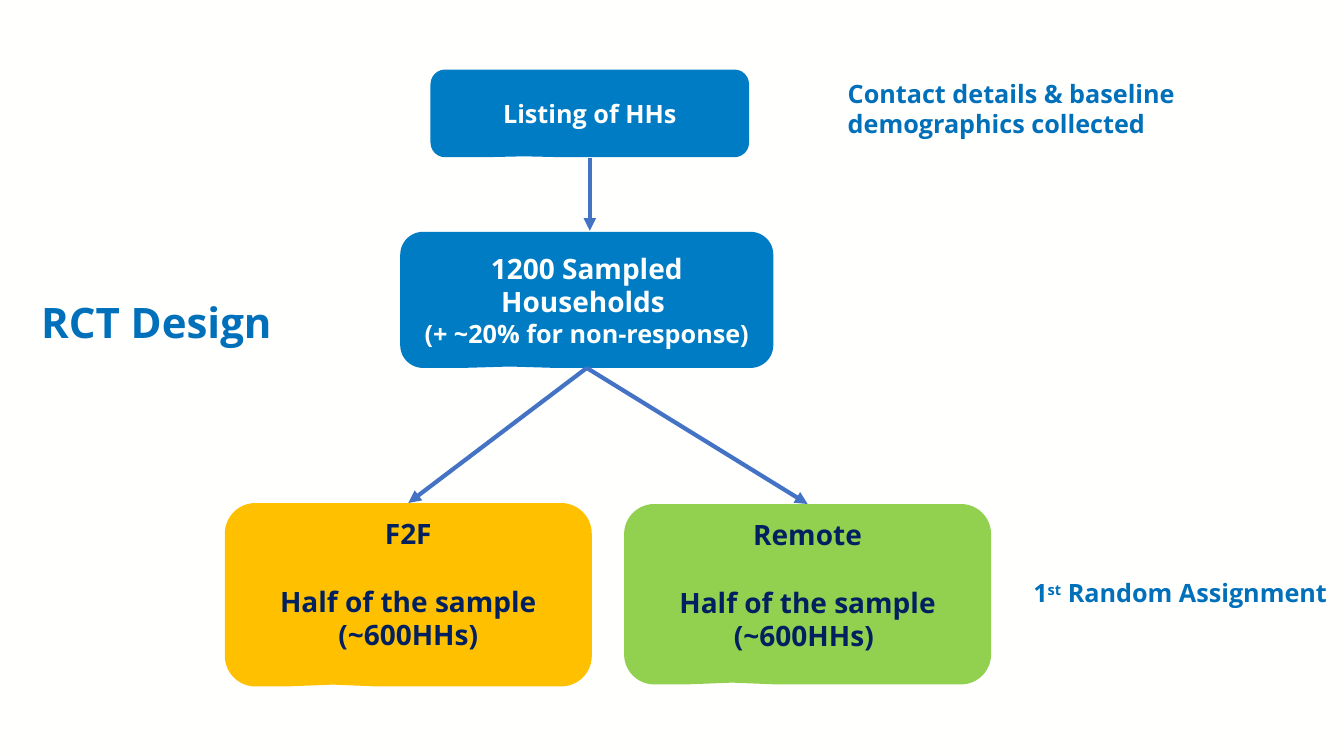
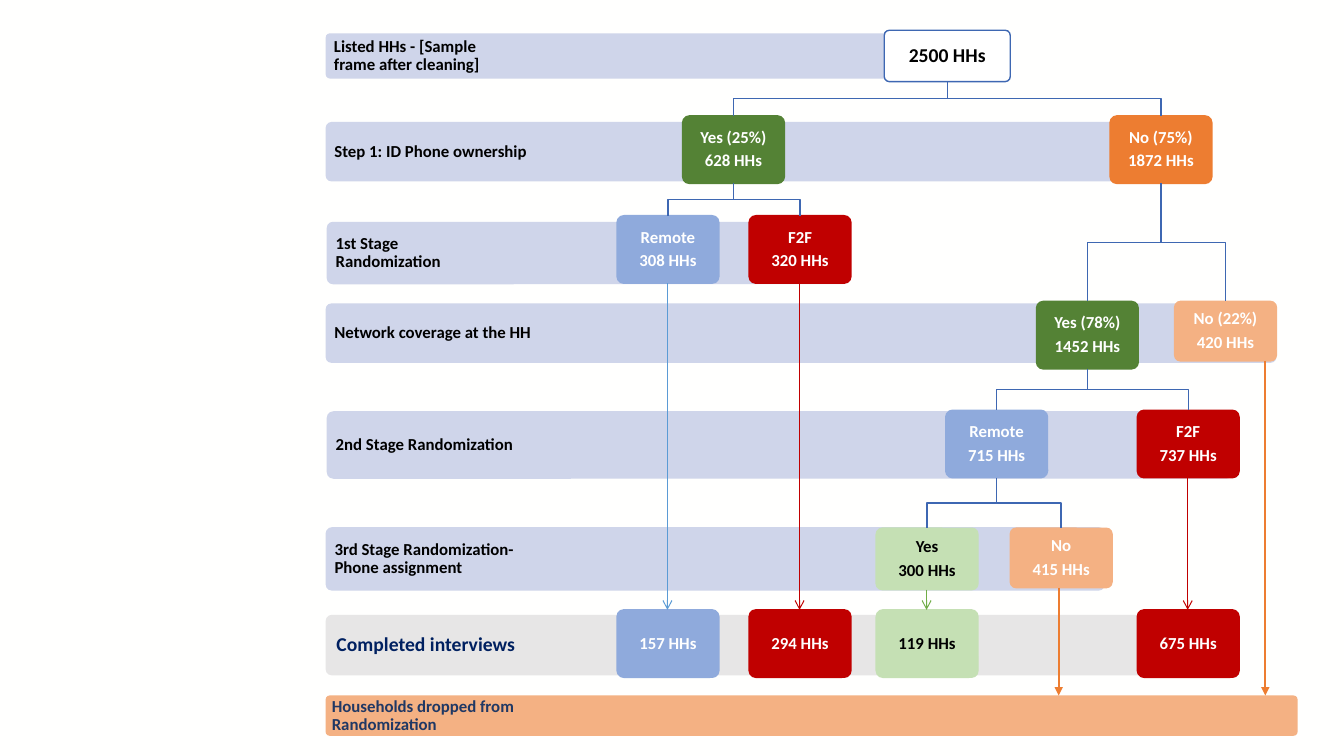
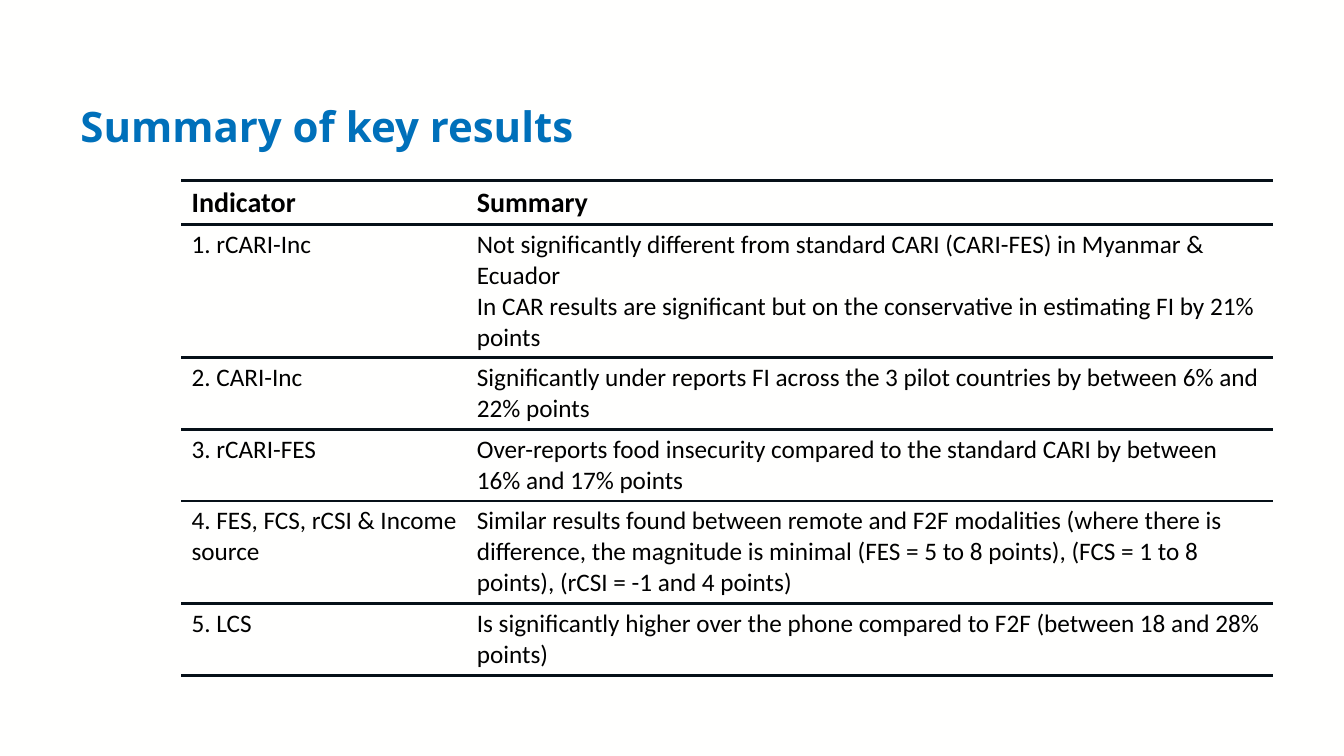
from pptx import Presentation
from pptx.dml.color import RGBColor
from pptx.enum.shapes import MSO_CONNECTOR, MSO_SHAPE
from pptx.enum.text import MSO_ANCHOR, PP_ALIGN
from pptx.oxml import parse_xml
from pptx.oxml.ns import nsdecls
from pptx.util import Pt

PX = 9144  # 100 px to the inch
HEAD, BODY = "Open Sans", "Calibri"
LEFT, MID = PP_ALIGN.LEFT, PP_ALIGN.CENTER
TOP, CENTER = MSO_ANCHOR.TOP, MSO_ANCHOR.MIDDLE
ROUND, CALL = MSO_SHAPE.ROUNDED_RECTANGLE, MSO_SHAPE.ROUNDED_RECTANGULAR_CALLOUT
LINE = MSO_CONNECTOR.STRAIGHT

HUES = {
    "page": "FFFFFE", "white": "FFFFFF", "black": "000000",
    "title": "0070BA", "navy": "002060", "ink": "203864",
    "blue": "007CC5", "gold": "FFC000", "lime": "92D050", "arrow": "4472C4",
    "band": "CFD5EA", "grey": "E7E6E6", "peach": "F4B183",
    "green": "548235", "mint": "C5E0B4", "leaf": "70AD47",
    "sky": "8FAADC", "azure": "5B9BD5", "red": "C00000",
    "orange": "ED7D31", "fork": "3E67B2", "rule": "061018",
}


def rgb(hue):
    return RGBColor.from_string(HUES[hue])


def area(x, y, w, h):
    return [n * PX for n in (x, y, w, h)]


def new_slide(deck):
    slide = deck.slides.add_slide(deck.slide_layouts[6])
    slide.background.fill.solid()
    slide.background.fill.fore_color.rgb = rgb("page")
    return slide


# Text
def style(para, size, hue, face, bold=True):
    font = para.font
    font.size, font.name, font.bold = Pt(size), face, bold
    font.color.rgb = rgb(hue)


def write(shape, text, size, hue, face=HEAD, align=LEFT, anchor=TOP):
    frame = shape.text_frame
    frame.word_wrap = True
    frame.vertical_anchor = anchor
    frame.text = text
    for para in frame.paragraphs:
        para.alignment = align
        style(para, size, hue, face)
    return frame


def pad(frame, left, right, rest):
    frame.margin_left, frame.margin_right = left * PX, right * PX
    frame.margin_top = frame.margin_bottom = rest * PX


def tight(frame):
    for para in frame.paragraphs:
        para.line_spacing = 0.9
        para.space_after = Pt(4)


def note(slide, spot, text, size=18, anchor=TOP):
    box = slide.shapes.add_textbox(*area(*spot))
    return write(box, text, size, "title", anchor=anchor)


def title(slide, spot, text):
    frame = note(slide, spot, text, 30, CENTER)
    frame.paragraphs[0].line_spacing = 0.9


# Shapes
def block(slide, kind, spot, fill, edge=None):
    shape = slide.shapes.add_shape(kind, *area(*spot))
    shape.shadow.inherit = False
    shape.fill.solid()
    shape.fill.fore_color.rgb = rgb(fill)
    if edge:
        shape.line.color.rgb = rgb(edge)
        shape.line.width = Pt(1)
    else:
        shape.line.fill.background()
    return shape


def callout(slide, spot, fill, text, size, hue, anchor=CENTER):
    shape = block(slide, CALL, spot, fill)
    for i, value in enumerate((-0.206, 0.49, 0.167)):
        shape.adjustments[i] = value
    return write(shape, text, size, hue, align=MID, anchor=anchor)


def band(slide, spot, text, fill="band", hue="black", size=12, inset=7):
    shape = block(slide, ROUND, spot, fill)
    shape.adjustments[0] = 0.1
    frame = write(shape, text, size, hue, BODY, anchor=CENTER)
    # The label keeps to the first 30% of the band
    pad(frame, inset, inset + round(spot[2] * 0.7), 4)
    tight(frame)


def node(slide, x, y, fill, text, h=67, hue="white", w=101, size=12, edge=None):
    shape = block(slide, ROUND, (x, y, w, h), fill, edge or fill)
    shape.adjustments[0] = 0.1
    frame = write(shape, text, size, hue, BODY, MID, CENTER)
    pad(frame, 6, 6, 5)
    tight(frame)
    return shape


# Lines
def arrow(slide, start, end, hue, width, head="triangle"):
    line = slide.shapes.add_connector(LINE, *area(*start, *end))
    line.line.color.rgb = rgb(hue)
    line.line.width = Pt(width)
    tip = parse_xml(f'<a:tailEnd {nsdecls("a")} type="{head}"/>')
    line.line._get_or_add_ln().append(tip)
    line._element.spPr.append(parse_xml(f'<a:effectLst {nsdecls("a")}/>'))


def ends(upper, lower):
    x = upper.left + upper.width // 2
    return x, upper.top + upper.height, lower.left + lower.width // 2, lower.top


def fork(slide, parent, *kids):
    for kid in kids:
        x, y, kx, ky = ends(parent, kid)
        half = (y + ky) // 2
        path = slide.shapes.build_freeform(x, y)
        path.add_line_segments([(x, half), (kx, half), (kx, ky)], close=False)
        bend = path.convert_to_shape()
        bend.shadow.inherit = False
        bend.fill.background()
        bend.line.color.rgb = rgb("fork")
        bend.line.width = Pt(1)


def drop(slide, upper, lower, hue):
    x, y, _, end = (n // PX for n in ends(upper, lower))
    arrow(slide, (x, y), (x, end), hue, 0.75, "arrow")


# Table
def rule(cell):
    props = cell._tc.get_or_add_tcPr()
    for side in "LR":
        props.append(parse_xml(
            f'<a:ln{side} {nsdecls("a")} w="0"><a:noFill/></a:ln{side}>'))
    for side in "TB":
        props.append(parse_xml(
            f'<a:ln{side} {nsdecls("a")} w="{Pt(2.25)}"><a:solidFill>'
            f'<a:srgbClr val="{HUES["rule"]}"/></a:solidFill></a:ln{side}>'))
    cell.fill.background()


def grid(slide, x, y, cols, highs, rows):
    spot = area(x, y, sum(cols), sum(highs))
    table = slide.shapes.add_table(len(rows), len(cols), *spot).table
    table.first_row = table.horz_banding = False
    for col, w in zip(table.columns, cols):
        col.width = w * PX
    for i, (row, h) in enumerate(zip(rows, highs)):
        table.rows[i].height = h * PX
        for j, text in enumerate(row):
            cell = table.cell(i, j)
            rule(cell)
            cell.text = text
            for para in cell.text_frame.paragraphs:
                style(para, 18 if i else 20, "black", BODY, i == 0)


# Slides
def design(deck):
    slide = new_slide(deck)
    title(slide, (31, 253, 1204, 139), "RCT Design")

    frame = note(slide, (1015, 568, 317, 40), "1")
    frame.word_wrap = False
    para = frame.paragraphs[0]
    for text in ("st", " Random Assignment"):
        run = para.add_run()
        run.text = text
        if text == "st":
            run._r.get_or_add_rPr().set("baseline", "30000")

    half = "\nHalf of the sample\n(~600HHs)"
    for spot, fill, text in (
        ((223, 499, 364, 182), "gold", "F2F" + half),
        ((619, 500, 364, 179), "lime", "Remote" + half + " "),
    ):
        frame = callout(slide, spot, fill, text, 20, "navy", TOP)
        frame.paragraphs[1].space_before = Pt(24)

    callout(slide, (427, 69, 316, 87), "blue", "Listing of HHs", 18, "page")
    note(slide, (831, 73, 453, 71),
         "Contact details & baseline demographics collected")
    frame = callout(slide, (397, 230, 370, 135), "blue",
                    "1200 Sampled Households \n(+ ~20% for non-response)",
                    20, "page")
    frame.paragraphs[1].font.size = Pt(18)

    for start, end in (((585, 157), (585, 229)), ((582, 365), (405, 499)),
                       ((582, 365), (801, 500))):
        arrow(slide, start, end, "arrow", 3)


def flow(deck):
    slide = new_slide(deck)

    # Bands
    band(slide, (323, 690, 964, 40), "Households dropped from Randomization",
         "peach", "ink", inset=5)
    band(slide, (323, 610, 899, 60), "Completed interviews",
         "grey", "navy", 14, 9)
    for spot, text in (
        ((323, 523, 773, 63), "3rd Stage Randomization-Phone assignment"),
        ((324, 408, 899, 67), "2nd Stage Randomization"),
        ((323, 301, 943, 59), "Network coverage at the HH"),
        ((324, 220, 518, 62), "1st Stage Randomization"),
        ((323, 121, 874, 59), "Step 1: ID Phone ownership"),
        ((323, 33, 660, 45), "Listed HHs - [Sample frame after cleaning]"),
    ):
        band(slide, spot, text)

    # Households at each step
    root = node(slide, 877, 30, "white", "2500 HHs", 51, "black", 125, 14, "fork")
    phone = node(slide, 677, 115, "green", "Yes (25%)\n628 HHs")
    none = node(slide, 1101, 115, "orange", "No (75%)\n1872 HHs")
    call = node(slide, 612, 214, "sky", "Remote\n308 HHs")
    visit = node(slide, 743, 214, "red", "F2F\n320 HHs")
    signal = node(slide, 1028, 299, "green", "Yes (78%)\n1452 HHs")
    dead = node(slide, 1165, 299, "peach", "No (22%)\n420 HHs", 59)
    call_two = node(slide, 938, 407, "sky", "Remote\n715 HHs")
    visit_two = node(slide, 1128, 407, "red", "F2F\n737 HHs")
    given = node(slide, 869, 524, "mint", "Yes\n300 HHs", 61, "black")
    left_out = node(slide, 1002, 524, "peach", "No\n415 HHs", 59)

    fork(slide, root, phone, none)
    fork(slide, phone, call, visit)
    fork(slide, none, signal, dead)
    fork(slide, signal, call_two, visit_two)
    fork(slide, call_two, given, left_out)

    # Completed interviews
    for start, x, fill, count, hue, line in (
        (call, 612, "sky", 157, "white", "azure"),
        (visit, 743, "red", 294, "white", "red"),
        (given, 869, "mint", 119, "black", "leaf"),
        (visit_two, 1128, "red", 675, "white", "red"),
    ):
        done = node(slide, x, 605, fill, f"{count} HHs", hue=hue)
        drop(slide, start, done, line)

    # Dropped households
    for x, y in ((1050, 583), (1255, 358)):
        arrow(slide, (x, y), (x, 690), "orange", 1.5)


def results(deck):
    slide = new_slide(deck)
    title(slide, (70, 58, 1203, 140), "Summary of key results")
    grid(slide, 180, 179, (283, 800), (44, 132, 71, 71, 102, 71), (
        ("Indicator", "Summary"),
        ("1. rCARI-Inc",
         "Not significantly different from standard CARI (CARI-FES) in "
         "Myanmar & Ecuador\nIn CAR results are significant but on the "
         "conservative in estimating FI by 21% points"),
        ("2. CARI-Inc",
         "Significantly under reports FI across the 3 pilot countries by "
         "between 6% and 22% points"),
        ("3. rCARI-FES",
         "Over-reports food insecurity compared to the standard CARI by "
         "between 16% and 17% points"),
        ("4. FES, FCS, rCSI & Income source",
         "Similar results found between remote and F2F modalities (where "
         "there is difference, the magnitude is minimal (FES = 5 to 8 "
         "points), (FCS = 1 to 8 points), (rCSI = -1 and 4 points)"),
        ("5. LCS",
         "Is significantly higher over the phone compared to F2F (between "
         "18 and 28% points)"),
    ))


def main():
    deck = Presentation()
    deck.slide_width, deck.slide_height = 1333 * PX, 750 * PX
    design(deck)
    flow(deck)
    results(deck)
    deck.save("out.pptx")


if __name__ == "__main__":
    main()
